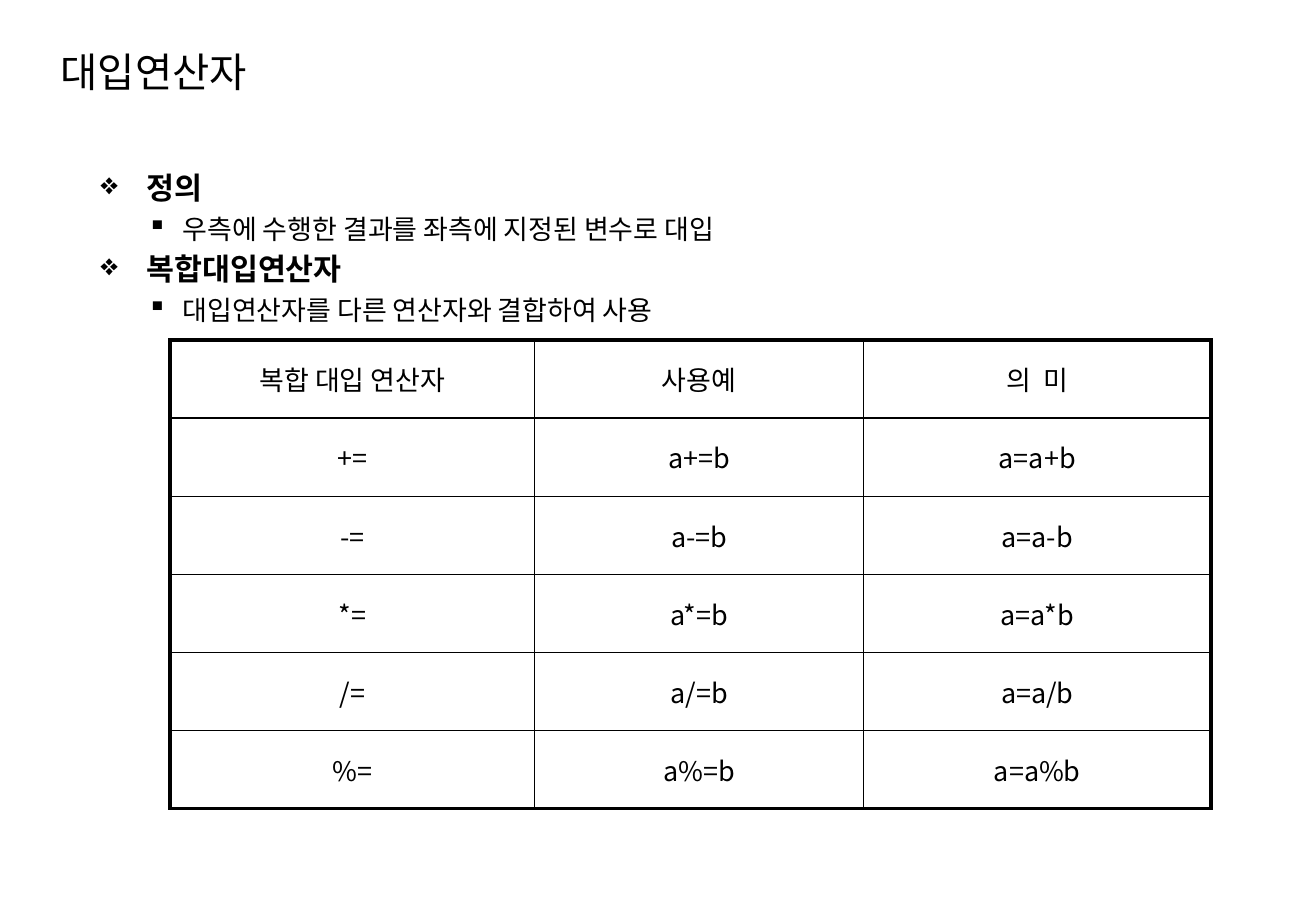
from dataclasses import dataclass

from lxml.etree import SubElement
from pptx import Presentation
from pptx.dml.color import RGBColor
from pptx.enum.text import MSO_ANCHOR as Anchor, PP_ALIGN as Align
from pptx.oxml.ns import qn
from pptx.slide import Slide
from pptx.util import Pt

BLACK = RGBColor(0, 0, 0)
THIN, THICK = Pt(1), Pt(2.25)
LEVELS = [
    {"bullet": "❖", "left": Pt(27), "hang": Pt(27), "size": 18, "bold": True, "line": Pt(24.8)},
    {"bullet": "▪", "left": Pt(48.6), "hang": Pt(21), "size": 16, "bold": False, "line": Pt(23)},
]
OUTLINE = [
    (0, "정의"),
    (1, "우측에 수행한 결과를 좌측에 지정된 변수로 대입"),
    (0, "복합대입연산자"),
    (1, "대입연산자를 다른 연산자와 결합하여 사용"),
]
HEADINGS = ["복합 대입 연산자", "사용예", "의  미"]
OPERATORS = "+-*/%"


def apply(target, values):
    """Set each attribute named in values on target."""
    for name, value in values.items():
        setattr(target, name, value)


@dataclass
class Page:
    """The slide being built and its text style."""
    slide: Slide
    font: str = "Noto Sans CJK KR"
    color: RGBColor = BLACK

    def add_text(self, paragraph, text, size, bold=False):
        """Add one styled run to a paragraph."""
        run = paragraph.add_run()
        run.text = text
        apply(run.font, {"name": self.font, "size": Pt(size), "bold": bold})
        run.font.color.rgb = self.color
        SubElement(run._r.get_or_add_rPr(), qn("a:ea"), typeface=self.font)

    def title(self, text, left, top, width, height):
        """Place and fill the title placeholder."""
        heading = self.slide.shapes.title
        apply(heading, {"left": left, "top": top, "width": width, "height": height})
        apply(heading.text_frame, {"vertical_anchor": Anchor.MIDDLE, "word_wrap": True})
        paragraph = heading.text_frame.paragraphs[0]
        paragraph.alignment = Align.LEFT
        self.add_text(paragraph, text, 24)

    def outline(self, items, left, top, width, height):
        """Add a two-level bulleted list."""
        frame = self.slide.shapes.add_textbox(left, top, width, height).text_frame
        apply(frame, {"word_wrap": True, "margin_top": Pt(1.5)})
        for index, (level, text) in enumerate(items):
            paragraph = frame.add_paragraph() if index else frame.paragraphs[0]
            look = LEVELS[level]
            apply(paragraph, {"level": level, "line_spacing": look["line"]})
            properties = paragraph._p.get_or_add_pPr()
            properties.set("marL", str(look["left"]))
            properties.set("indent", str(-look["hang"]))
            SubElement(properties, qn("a:buChar"), char=look["bullet"])
            self.add_text(paragraph, text, look["size"], look["bold"])

    def border(self, cell, side, width):
        """Draw one side of a cell: L, R, T or B."""
        line = SubElement(cell._tc.get_or_add_tcPr(), qn(f"a:ln{side}"), w=str(width))
        fill = SubElement(line, qn("a:solidFill"))
        SubElement(fill, qn("a:srgbClr"), val=str(self.color))

    def table(self, rows, left, top, widths, row_height):
        """Add a centred table with a thick frame and thin inner lines."""
        last_row, last_column = len(rows) - 1, len(widths) - 1
        grid = self.slide.shapes.add_table(
            len(rows), len(widths), left, top, sum(widths), row_height * len(rows)).table
        apply(grid, {"first_row": False, "horz_banding": False})
        for column, width in zip(grid.columns, widths):
            column.width = width
        for r, texts in enumerate(rows):
            grid.rows[r].height = row_height
            for c, text in enumerate(texts):
                cell = grid.cell(r, c)
                apply(cell, {"vertical_anchor": Anchor.MIDDLE,
                             "margin_left": Pt(7.9), "margin_right": Pt(7.9),
                             "margin_top": Pt(3.6), "margin_bottom": Pt(3.6)})
                outer = {"L": c == 0, "R": c == last_column, "T": r == 0, "B": r == last_row}
                for side, is_outer in outer.items():
                    self.border(cell, side, THICK if is_outer else THIN)
                cell.fill.background()
                paragraph = cell.text_frame.paragraphs[0]
                paragraph.alignment = Align.CENTER
                self.add_text(paragraph, text, 16)


deck = Presentation()
apply(deck, {"slide_width": Pt(780), "slide_height": Pt(540)})
page = Page(deck.slides.add_slide(deck.slide_layouts[5]))
page.title("대입연산자", Pt(28.8), Pt(23), Pt(450.7), Pt(38.9))
page.outline(OUTLINE, Pt(52.6), Pt(95.8), Pt(671.8), Pt(401.8))
examples = [[f"{sign}=", f"a{sign}=b", f"a=a{sign}b"] for sign in OPERATORS]
page.table([HEADINGS] + examples, Pt(100.8), Pt(201.6),
           [Pt(216), Pt(195.1), Pt(205.9)], Pt(46.3))
deck.save("out.pptx")
